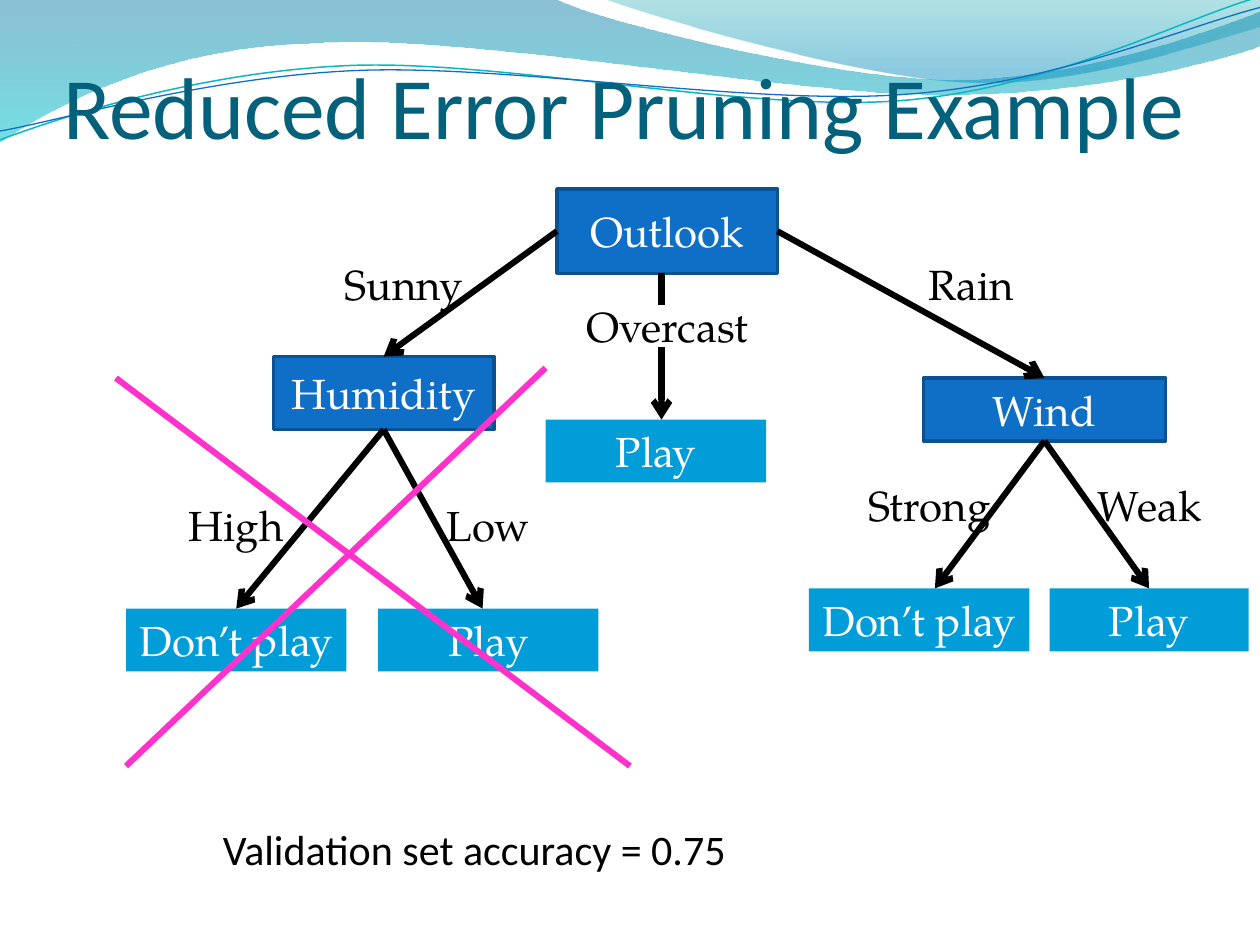
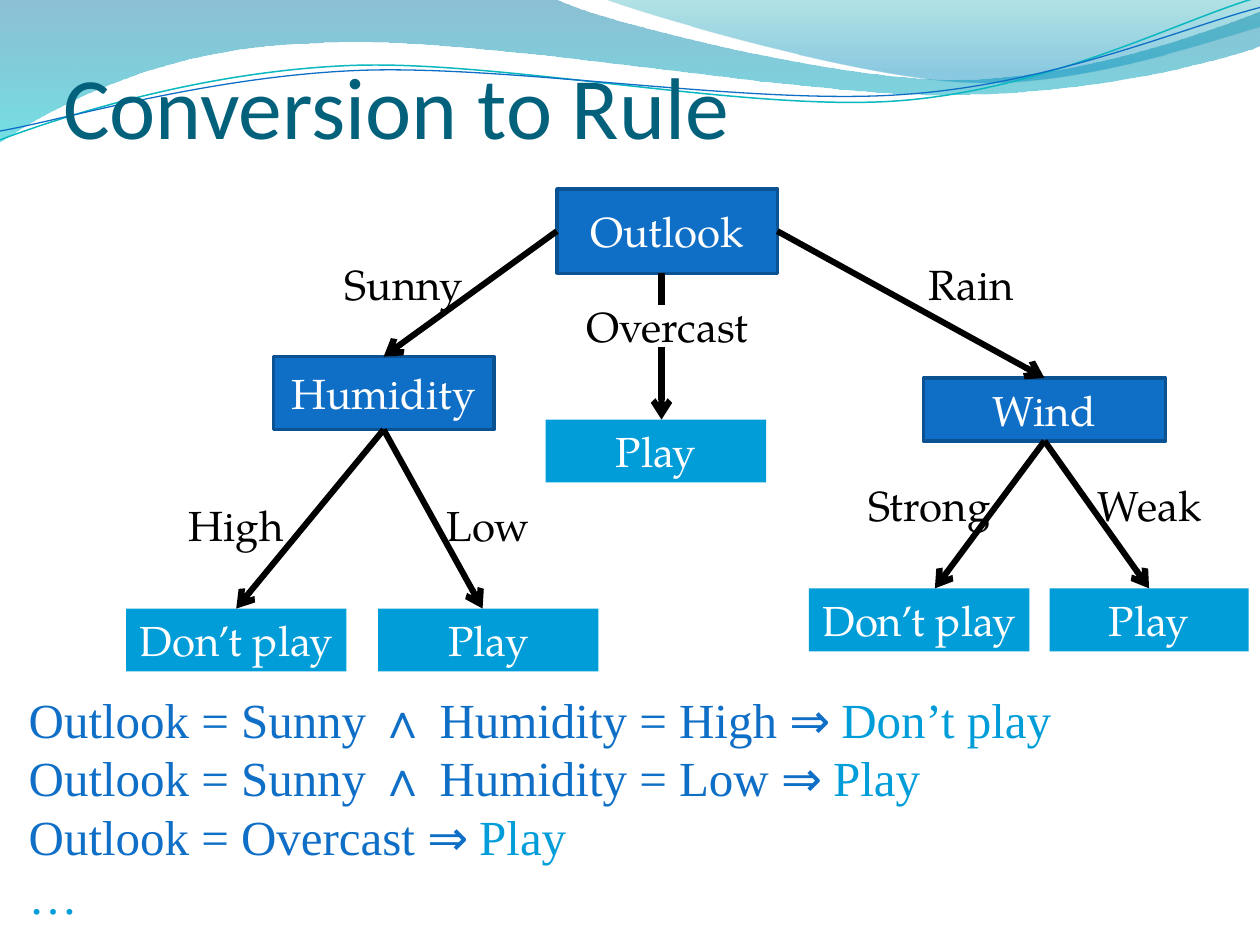
from dataclasses import dataclass
from math import cos, radians, sin

from lxml import etree
from pptx import Presentation
from pptx import util as u
from pptx.dml.color import RGBColor
from pptx.enum import shapes, text
from pptx.oxml.ns import qn


@dataclass(frozen=True)
class Theme:
    title: str = "04617B"
    node: str = "0F6FC6"
    node_edge: str = "0B5292"
    leaf: str = "009DD9"
    ink: str = "000000"
    paper: str = "FFFFFF"
    strike: str = "FF33CC"
    teal: str = "0AB8BF"
    sans: str = "Calibri"
    tree_font: str = "TeX Gyre Pagella"
    rule_font: str = "Times New Roman"
    title_size: int = 50
    body_size: int = 24
    rule_size: int = 28
    line_width: float = 3.5


theme = Theme()
rgb = RGBColor.from_string


def add_box(page, place, words, color, font=theme.tree_font, size=theme.body_size,
            align=text.PP_ALIGN.CENTER, anchor=text.MSO_ANCHOR.MIDDLE, fill=None, edge=None):
    """Add a text box, or a rectangle when a fill is given."""
    left, top, width, height = map(u.Inches, place)
    if fill:
        box = page.shapes.add_shape(shapes.MSO_SHAPE.RECTANGLE, left, top, width, height)
        box.shadow.inherit = False
        box.fill.solid()
        box.fill.fore_color.rgb = rgb(fill)
        if edge:
            box.line.color.rgb = rgb(edge)
            box.line.width = u.Pt(2)
        else:
            box.line.fill.background()
    else:
        box = page.shapes.add_textbox(left, top, width, height)
    frame = box.text_frame
    frame.word_wrap = True
    frame.vertical_anchor = anchor
    frame.text = words
    for para in frame.paragraphs:
        para.alignment = align
        para.font.name, para.font.size = font, u.Pt(size)
        para.font.color.rgb = rgb(color)
    return box


def add_line(page, start, end, color=theme.ink, arrow=True):
    """Each end is a point, or a (box, side) pair to join."""
    line = page.shapes.add_connector(shapes.MSO_CONNECTOR.STRAIGHT, 0, 0, 0, 0)
    if isinstance(start[0], (int, float)):
        line.begin_x, line.begin_y = map(u.Inches, start)
    else:
        line.begin_connect(*start)
    if isinstance(end[0], (int, float)):
        line.end_x, line.end_y = map(u.Inches, end)
    else:
        line.end_connect(*end)
    line.line.color.rgb = rgb(color)
    line.line.width = u.Pt(theme.line_width)
    properties = line._element.spPr
    if arrow:
        etree.SubElement(properties.find(qn("a:ln")), qn("a:tailEnd"), type="arrow")
    etree.SubElement(properties, qn("a:effectLst"))


# Header waves: a start point, then segments of one (line) or three (curve) points
waves = [
    {"start": (0, 0),
     "segments": [[(4.4, -0.01)],
                  [(4.76, 0.17), (6.64, 0.63), (7.58, 0.63)],
                  [(8.53, 0.63), (9.58, 0.26), (10, 0.09)],
                  [(10.01, 0.36)],
                  [(9.83, 0.44), (8.7, 0.76), (7.46, 0.75)],
                  [(6.22, 0.75), (3.82, 0.28), (2.57, 0.34)],
                  [(1.29, 0.36), (0.46, 0.83), (-0.01, 1.13)],
                  [(0, 0)]],
     "stops": [(0, "0074A1", 45), (1, "00C6CF", 55)]},
    {"start": (4.79, -0.01),
     "segments": [[(5.09, 0.11), (6.82, 0.62), (7.69, 0.65)],
                  [(8.56, 0.69), (9.61, 0.32), (10, 0.21)],
                  [(10, 0)],
                  [(4.79, -0.01)]],
     "stops": [(0, "00A1A9", 30), (0.8, "008BBF", 45)]},
    {"start": (0, 1.11),
     "segments": [[(0.48, 0.93), (1.58, 0.57), (2.77, 0.52)],
                  [(3.95, 0.47), (5.93, 0.89), (7.13, 0.8)],
                  [(8.33, 0.71), (9.38, 0.15), (9.98, -0.02)]],
     "stroke": (theme.teal, 0.85), "pivot": (4.99, 0.58)},
    {"start": (0, 1.04),
     "segments": [[(0.47, 0.96), (1.64, 0.61), (2.83, 0.56)],
                  [(4.03, 0.51), (5.97, 0.84), (7.17, 0.75)],
                  [(8.36, 0.67), (9.41, 0.21), (10, 0.06)]],
     "stroke": (theme.node, 0.75), "pivot": (5, 0.59)},
]
wave_tilt = 2.7

# Decision tree
nodes = {
    "Outlook": (4.42, 1.5, 1.75, 0.67),
    "Humidity": (2.17, 2.83, 1.75, 0.58),
    "Wind": (7.33, 3, 1.92, 0.5),
}
leaves = {
    "low": ("Play", (3, 4.83, 1.75, 0.5)),
    "overcast": ("Play", (4.33, 3.33, 1.75, 0.5)),
    "high": ("Don’t play", (1, 4.83, 1.75, 0.5)),
    "weak": ("Play", (8.33, 4.67, 1.58, 0.5)),
    "strong": ("Don’t play", (6.42, 4.67, 1.75, 0.5)),
}
branch_labels = [
    ("Sunny", 2.58, 1.92, 1.25), ("Rain", 6.83, 1.92, 1.75), ("Overcast", 4.42, 2.25, 1.75),
    ("High", 1, 3.83, 1.75), ("Low", 3, 3.83, 1.75),
    ("Weak", 8.25, 3.67, 1.75), ("Strong", 6.5, 3.67, 1.75),
]
top, left, bottom, right = range(4)

deck = Presentation()
deck.slide_width, deck.slide_height = u.Inches(10), u.Inches(7.5)
pages = []

# Shared by both slides: waves, title and tree
for title in ("Reduced Error Pruning Example", "Conversion to Rule"):
    page = deck.slides.add_slide(deck.slide_layouts[6])
    pages.append(page)

    for wave in waves:
        points = [wave["start"], *(point for segment in wave["segments"] for point in segment)]
        if "pivot" in wave:
            # Level the points here; the shape's rotation tilts them back
            px, py = wave["pivot"]
            c, s = cos(radians(wave_tilt)), sin(radians(wave_tilt))
            points = [(px + (x - px) * c - (y - py) * s, py + (x - px) * s + (y - py) * c)
                      for x, y in points]
        outline = [(u.Inches(x), u.Inches(y)) for x, y in points]
        builder = page.shapes.build_freeform(*outline[0])
        builder.add_line_segments(outline[1:], close="stops" in wave)
        ribbon = builder.convert_to_shape()
        ribbon.shadow.inherit = False

        # Join each three straight steps of a curve into one Bézier segment
        steps = iter(list(ribbon._element.iter(qn("a:lnTo"))))
        for segment in wave["segments"]:
            first, *others = [next(steps) for _ in segment]
            if others:
                curve = etree.Element(qn("a:cubicBezTo"))
                first.addprevious(curve)
                for step in (first, *others):
                    curve.append(step[0])
                    step.getparent().remove(step)

        if "stops" in wave:
            ribbon.line.fill.background()
            ribbon.fill.gradient()
            ribbon.fill.gradient_angle = 270
            for stop, (position, color, _) in zip(ribbon.fill.gradient_stops, wave["stops"]):
                stop.position = position
                stop.color.rgb = rgb(color)
            tints = ribbon._element.spPr.iter(qn("a:srgbClr"))
            for tint, (_, _, opacity) in zip(tints, wave["stops"]):
                etree.SubElement(tint, qn("a:alpha"), val=str(opacity * 1000))
        else:
            color, width = wave["stroke"]
            ribbon.rotation = 360 - wave_tilt
            ribbon.fill.background()
            ribbon.line.color.rgb = rgb(color)
            ribbon.line.width = u.Pt(width)

    heading = add_box(page, (0.5, 0, 9.08, 1.25), title, theme.title, theme.sans,
                      theme.title_size, text.PP_ALIGN.LEFT, text.MSO_ANCHOR.BOTTOM).text_frame
    heading.margin_left = heading.margin_right = heading.margin_bottom = 0

    node = {name: add_box(page, place, name, theme.paper, fill=theme.node, edge=theme.node_edge)
            for name, place in nodes.items()}
    for words, x, y, width in branch_labels:
        add_box(page, (x, y, width, 0.67), words, theme.ink)
    leaf = {branch: add_box(page, place, words, theme.paper, fill=theme.leaf)
            for branch, (words, place) in leaves.items()}

    for start, end in [
        ((node["Outlook"], left), (node["Humidity"], top)),
        ((node["Outlook"], right), (node["Wind"], top)),
        ((node["Humidity"], bottom), (leaf["high"], top)),
        ((node["Humidity"], bottom), (3.83, 4.83)),
        ((node["Wind"], bottom), (7.42, 4.67)),
        ((node["Wind"], bottom), (leaf["weak"], top)),
        ((5.25, 2.75), (5.25, 3.33)),
    ]:
        add_line(page, start, end)
    add_line(page, (5.25, 2.17), (5.25, 2.42), arrow=False)

pruning, rules = pages

# Slide 1: the pruned subtree is crossed out
for start, end in [((0.92, 3), (5, 6.08)), ((1, 6.08), (4.33, 2.92))]:
    add_line(pruning, start, end, theme.strike, arrow=False)
add_box(pruning, (1.67, 6.49, 4.33, 0.51), "Validation set accuracy = 0.75", theme.ink,
        theme.sans, align=text.PP_ALIGN.LEFT, anchor=text.MSO_ANCHOR.TOP)

# Slide 2: one rule for each path through the tree
conversions = [
    ("Outlook = Sunny ∧ Humidity = High ", "Don’t play"),
    ("Outlook = Sunny ∧ Humidity = Low ", "Play"),
    ("Outlook = Overcast ", "Play"),
]
lines = [f"{condition}⇒ {outcome}" for condition, outcome in conversions] + ["…"]
rule_box = add_box(rules, (0.13, 5.42, 9.87, 1.99), "\n".join(lines), theme.leaf,
                   theme.rule_font, theme.rule_size, text.PP_ALIGN.LEFT, text.MSO_ANCHOR.TOP)
for para, (condition, outcome) in zip(rule_box.text_frame.paragraphs, conversions):
    para.runs[0].text = condition
    for words in ("⇒ ", outcome):
        para.add_run().text = words
    condition_span, arrow_span, _ = para.runs
    condition_span.font.color.rgb = arrow_span.font.color.rgb = rgb(theme.node)
    arrow_span.font.name = theme.sans

deck.save("out.pptx")
